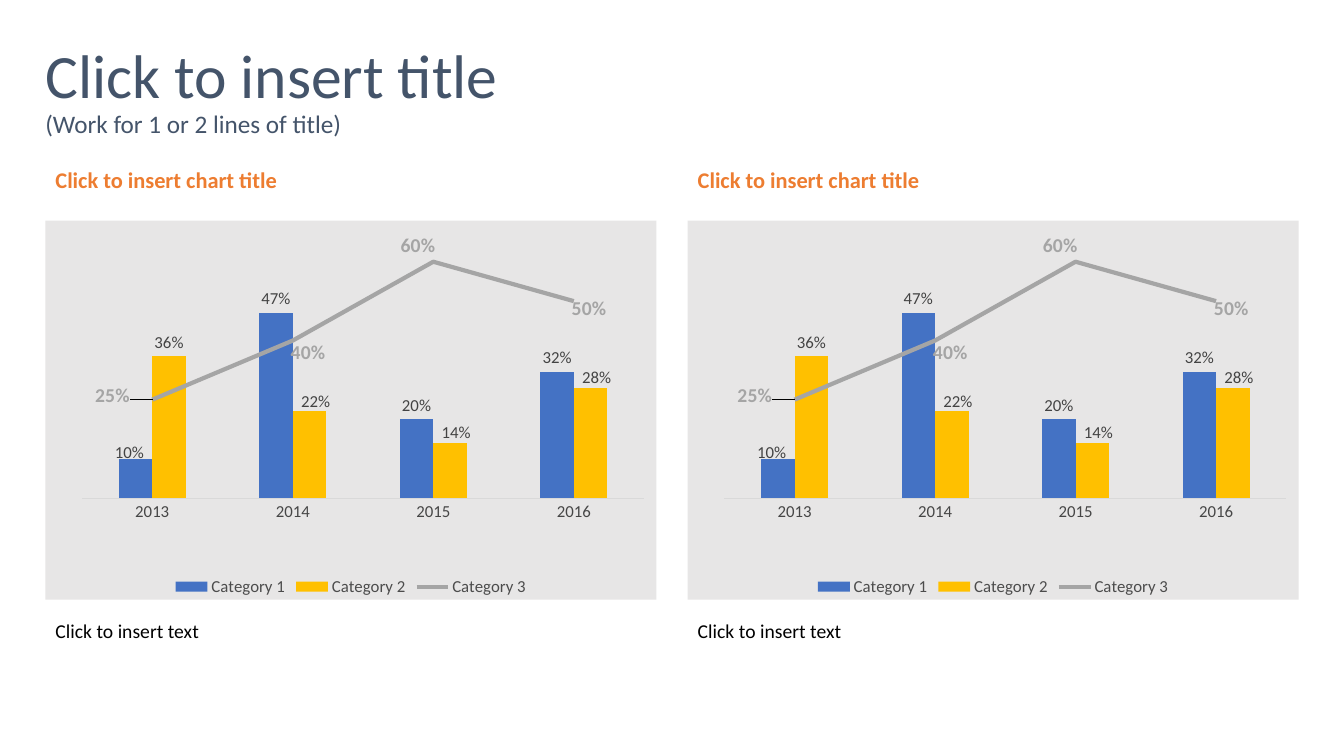
from copy import deepcopy

from pptx import Presentation, util as u
from pptx.chart.data import CategoryChartData
from pptx.dml.color import RGBColor
from pptx.enum import chart as ch, shapes, text
from pptx.oxml import parse_xml
from pptx.oxml.ns import nsdecls

EMU_PER_PX = 9144
FONT = "Calibri"
COLORS = {
    "title": "44546A", "accent": "ED7D31", "body": "000000", "panel": "E7E6E6",
    "blue": "4472C4", "gold": "FFC000", "grey": "A5A5A5", "axis": "D9D9D9",
    "tick": "464646", "legend": "4C4C4C", "label": "434343",
}
YEARS = ["2013", "2014", "2015", "2016"]
# name, colour, values, label shifts by point as fractions of the chart
SERIES = [
    ("Category 1", "blue", (0.1, 0.47, 0.2, 0.32), {0: (-0.01, 0.02)}),
    ("Category 2", "gold", (0.36, 0.22, 0.14, 0.28),
     {1: (0.01, 0.01), 2: (0.01, 0.01), 3: (0.01, 0.01)}),
    ("Category 3", "grey", (0.25, 0.4, 0.6, 0.5),
     {0: (-0.1, -0.01), 1: (-0.01, 0.03), 2: (-0.06, -0.04), 3: (-0.01, 0.02)}),
]


def px(n):
    return u.Emu(n * EMU_PER_PX)


def rgb(name):
    return RGBColor.from_string(COLORS[name])


def set_font(font, size, color, bold=False):
    font.name, font.size, font.bold = FONT, u.Pt(size), bold
    font.color.rgb = rgb(color)


def place(sp, x, y, w, h):
    sp.left, sp.top, sp.width, sp.height = px(x), px(y), px(w), px(h)


def write(sp, content, size, color, bold=False, spacing=None, anchor="TOP"):
    """Fill a placeholder with one plain left-aligned paragraph."""
    tf = sp.text_frame
    tf.word_wrap = True
    tf.auto_size = text.MSO_AUTO_SIZE.NONE
    tf.vertical_anchor = text.MSO_ANCHOR[anchor]
    p = tf.paragraphs[0]
    p.alignment = text.PP_ALIGN.LEFT
    p.space_before = u.Pt(0)
    p.line_spacing = spacing
    pPr = p._p.get_or_add_pPr()
    pPr.set("marL", "0")
    pPr.set("indent", "0")
    pPr.append(parse_xml(f"<a:buNone {nsdecls('a')}/>"))
    r = p.add_run()
    r.text = content
    set_font(r.font, size, color, bold)
    return p


def add_layout(parent, index, **values):
    """Insert a manual chart layout; values are its child elements in order."""
    children = "".join(f'<c:{k} val="{v}"/>' for k, v in values.items())
    parent.insert(index, parse_xml(
        f"<c:layout {nsdecls('c')}><c:manualLayout>{children}</c:manualLayout></c:layout>"))


def last_series_to_line(chart):
    bars = chart.plots[0]._element
    ser = bars.xpath("c:ser")[-1]
    for el in ser.xpath("c:invertIfNegative"):
        ser.remove(el)
    line = parse_xml(
        f'<c:lineChart {nsdecls("c")}><c:grouping val="standard"/>'
        '<c:varyColors val="0"/><c:marker val="1"/></c:lineChart>')
    line.insert(2, ser)
    for axis_id in bars.xpath("c:axId"):
        line.append(deepcopy(axis_id))
    bars.addnext(line)


def label_series(series, shifts, position, **font):
    labels = series.data_labels
    labels.show_value = True
    labels.number_format, labels.number_format_is_linked = "0%", False
    labels.position = position
    set_font(labels.font, **font)
    for i, (dx, dy) in shifts.items():
        label = series.points[i].data_label
        label.position = position
        set_font(label.font, **font)
        dLbl = series._element.xpath(f"c:dLbls/c:dLbl[c:idx/@val='{i}']")[0]
        add_layout(dLbl, 1, x=dx, y=dy)


def style_series(chart):
    bars, line = chart.plots
    bars.gap_width, bars.overlap = 219, 0
    bars.vary_by_categories = False
    for series, (_, color, _, shifts) in zip(bars.series, SERIES):
        series.format.fill.solid()
        series.format.fill.fore_color.rgb = rgb(color)
        label_series(series, shifts, ch.XL_LABEL_POSITION.OUTSIDE_END,
                     size=12, color="label")
    series = line.series[0]
    _, color, _, shifts = SERIES[-1]
    series.smooth = False
    series.marker.style = ch.XL_MARKER_STYLE.NONE
    series.format.line.color.rgb = rgb(color)
    series.format.line.width = u.Pt(3)
    label_series(series, shifts, ch.XL_LABEL_POSITION.RIGHT,
                 size=14, color=color, bold=True)


def add_combo_chart(s, x, y, w, h):
    data = CategoryChartData(number_format="0%")
    data.categories = YEARS
    for name, _, values, _ in SERIES:
        data.add_series(name, values)
    chart = s.shapes.add_chart(ch.XL_CHART_TYPE.COLUMN_CLUSTERED,
                               px(x), px(y), px(w), px(h), data).chart
    chart.has_title = False
    set_font(chart.font, 10, "body")
    last_series_to_line(chart)
    style_series(chart)

    years = chart.category_axis
    years.major_tick_mark = ch.XL_TICK_MARK.NONE
    years.format.line.color.rgb = rgb("axis")
    years.format.line.width = u.Pt(0.75)
    set_font(years.tick_labels.font, 12, "tick")
    shares = chart.value_axis
    shares.minimum_scale, shares.maximum_scale = 0, 0.7
    shares.has_major_gridlines = shares.visible = False
    shares.tick_labels.number_format = "0%"

    chart.has_legend = True
    chart.legend.position = ch.XL_LEGEND_POSITION.BOTTOM
    chart.legend.include_in_layout = False
    set_font(chart.legend.font, 12, "legend")

    area = chart._chartSpace.xpath("c:chart/c:plotArea")[0]
    for el in area.xpath("c:layout"):
        area.remove(el)
    add_layout(area, 0, layoutTarget="inner", xMode="edge", yMode="edge",
               x=0.06, y=0.04, w=0.92, h=0.7)


def add_title(s, x, y, w, h):
    sp = s.shapes.title
    place(sp, x, y, w, h)
    p = write(sp, "Click to insert title", 44, "title", spacing=0.9, anchor="MIDDLE")
    tf = sp.text_frame
    tf.margin_left = tf.margin_right = tf.margin_top = tf.margin_bottom = 0
    p.add_line_break()
    r = p.add_run()
    r.text = "(Work for 1 or 2 lines of title)"
    set_font(r.font, 18, "title")


def add_chart_column(s, heading, caption, x, y, w):
    place(heading, x, y, w, 45)
    write(heading, "Click to insert chart title", 16, "accent", bold=True,
          spacing=u.Pt(18), anchor="MIDDLE")
    panel = s.shapes.add_shape(shapes.MSO_SHAPE.RECTANGLE,
                               px(x), px(y + 63), px(w), px(376))
    panel.shadow.inherit = False
    panel.fill.solid()
    panel.fill.fore_color.rgb = rgb("panel")
    panel.line.fill.background()
    add_combo_chart(s, x, y + 49, w, 391)
    place(caption, x, y + 454, w, 96)
    write(caption, "Click to insert text", 14, "body", spacing=u.Pt(16))


def main():
    prs = Presentation()
    prs.slide_width, prs.slide_height = px(1333), px(750)
    s = prs.slides.add_slide(prs.slide_layouts.get_by_name("Comparison"))
    add_title(s, 45, 44, 1197, 94)
    _, *bodies = s.placeholders
    for column in range(2):
        heading, caption = bodies[2 * column:2 * column + 2]
        add_chart_column(s, heading, caption, 45 + 637 * column, 156, 606)
    prs.save("out.pptx")


if __name__ == "__main__":
    main()
